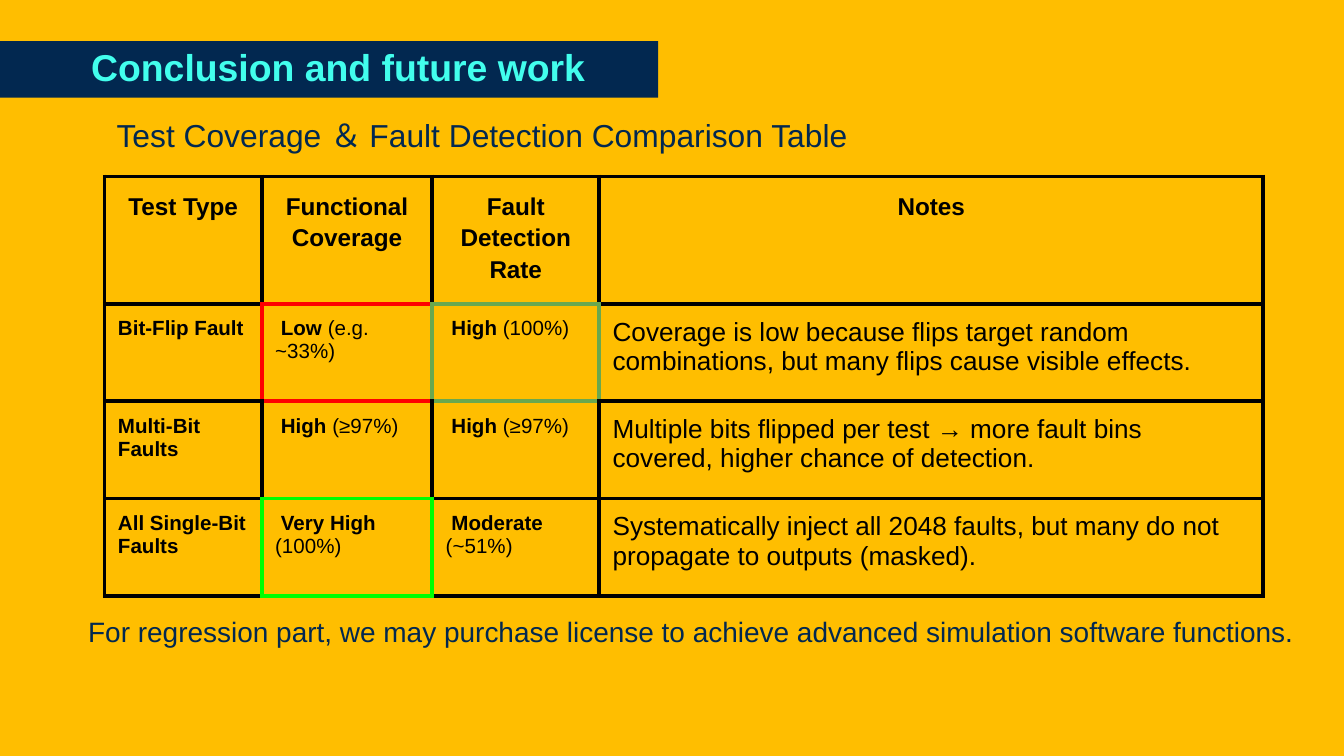
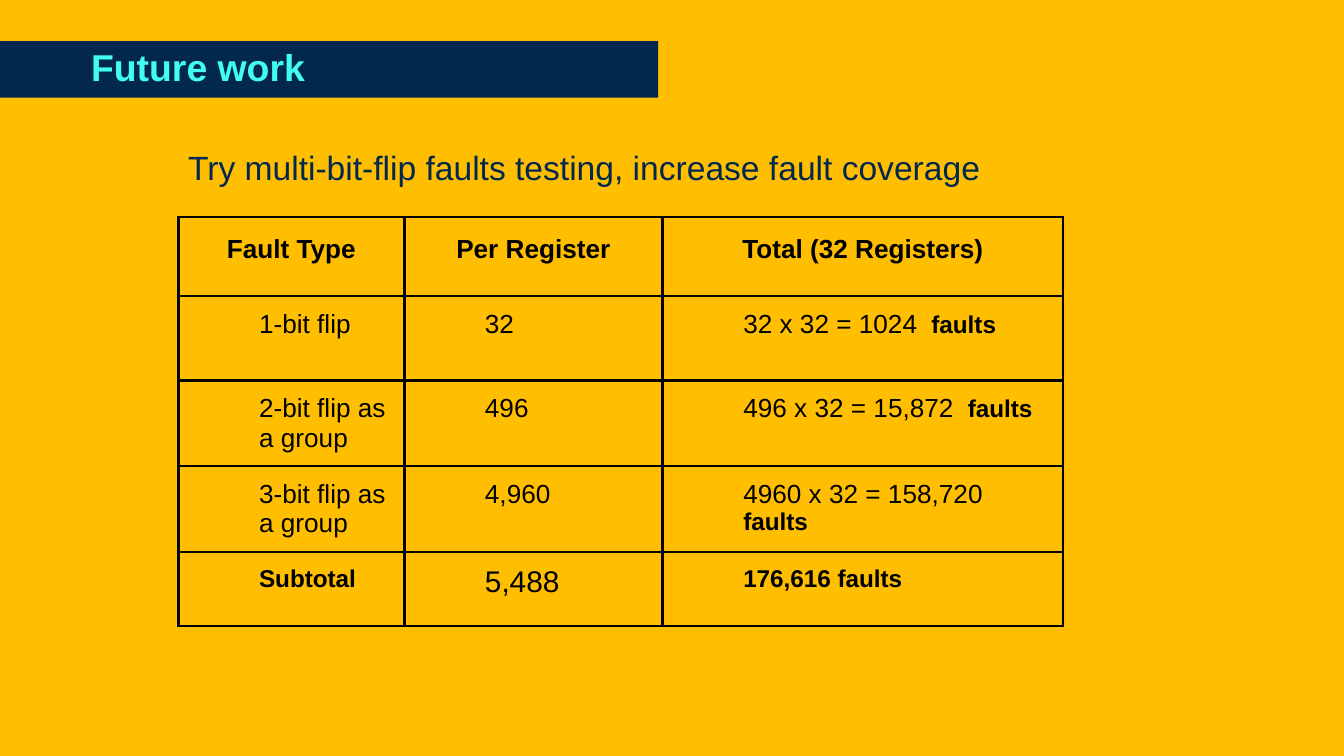
from dataclasses import dataclass, field
from typing import Any, NamedTuple

from lxml import etree
from pptx import Presentation
from pptx.dml.color import RGBColor
from pptx.enum.text import MSO_ANCHOR, MSO_AUTO_SIZE, PP_ALIGN
from pptx.oxml.ns import qn
from pptx.util import Pt

LEFT, CENTER = PP_ALIGN.LEFT, PP_ALIGN.CENTER
MIDDLE = MSO_ANCHOR.MIDDLE
GROW, FIXED = MSO_AUTO_SIZE.SHAPE_TO_FIT_TEXT, MSO_AUTO_SIZE.NONE
TITLE_ONLY = 5


@dataclass(frozen=True)
class Theme:
    font: str = "Arial"
    background: str = "FFBE00"
    navy: str = "022850"
    aqua: str = "42FEED"
    ink: str = "000000"
    low: str = "FF0000"
    detected: str = "6AA84F"
    complete: str = "00FF00"
    title_size: float = 20
    advice_size: float = 18
    subtitle_size: float = 17
    closing_size: float = 15
    total_size: float = 16
    body_size: float = 14
    strong_size: float = 13
    label_size: float = 11


THEME = Theme()


class Box(NamedTuple):
    left: float
    top: float
    width: float
    height: float


class Insets(NamedTuple):
    left: float
    top: float
    right: float
    bottom: float


class Run(NamedTuple):
    text: str
    size: float
    bold: bool = False


Cell = tuple[Run, ...]
Position = tuple[int, int]

TITLE_BOX = Box(0, 22, 352.6, 30.4)
TITLE_INSETS = Insets(48.8, 2.9, 10.8, 2.9)
EVEN_INSETS = Insets(7.2, 7.2, 7.2, 7.2)
ADVICE_INSETS = Insets(5, 2.9, 5, 2.9)


@dataclass(frozen=True)
class Caption:
    text: str
    box: Box
    size: float
    insets: Insets = EVEN_INSETS
    auto_size: Any = GROW
    paragraph: dict[str, Any] = field(default_factory=dict)


@dataclass(frozen=True)
class Grid:
    left: float
    top: float
    columns: tuple[float, ...]
    rows: tuple[float, ...]
    header: tuple[str, ...]
    header_size: float
    body: tuple[tuple[Cell, ...], ...]
    border: float
    indent: float = 0
    frames: dict[Position, str] = field(default_factory=dict)


# Formatting helpers
def apply(target: Any, formats: dict[str, Any]) -> None:
    for name, value in formats.items():
        setattr(target, name, value)


def set_insets(target: Any, insets: Insets) -> None:
    apply(target, {f"margin_{side}": Pt(size) for side, size in insets._asdict().items()})


def add_run(paragraph: Any, run: Run, color: str) -> None:
    part = paragraph.add_run()
    part.text = run.text
    apply(part.font, {"name": THEME.font, "size": Pt(run.size), "bold": run.bold})
    part.font.color.rgb = RGBColor.from_string(color)


# Text outside the tables
def set_title(slide: Any, text: str) -> None:
    title = slide.shapes.title
    apply(title, {name: Pt(size) for name, size in TITLE_BOX._asdict().items()})
    title.fill.solid()
    title.fill.fore_color.rgb = RGBColor.from_string(THEME.navy)
    frame = title.text_frame
    apply(frame, {"word_wrap": True, "auto_size": FIXED, "vertical_anchor": MIDDLE})
    set_insets(frame, TITLE_INSETS)
    heading = frame.paragraphs[0]
    apply(heading, {"alignment": LEFT, "line_spacing": 0.9, "space_before": Pt(0)})
    add_run(heading, Run(text, THEME.title_size, True), THEME.aqua)


def add_caption(slide: Any, caption: Caption) -> None:
    frame = slide.shapes.add_textbox(*map(Pt, caption.box)).text_frame
    apply(frame, {"word_wrap": True, "auto_size": caption.auto_size})
    set_insets(frame, caption.insets)
    line = frame.paragraphs[0]
    apply(line, caption.paragraph)
    add_run(line, Run(caption.text, caption.size), THEME.navy)


# Tables
def edge_colors(frames: dict[Position, str]) -> dict[tuple[int, int, str], str]:
    """Colour each framed cell's sides and the facing sides of its neighbours."""
    edges = {}
    for (row, column), color in frames.items():
        for side, facing, down, across in (
            ("L", "R", 0, -1), ("R", "L", 0, 1), ("T", "B", -1, 0), ("B", "T", 1, 0),
        ):
            edges[row, column, side] = color
            edges[row + down, column + across, facing] = color
    return edges


def add_border(cell: Any, side: str, width: float, color: str) -> None:
    properties = cell._tc.get_or_add_tcPr()
    line = etree.SubElement(properties, qn(f"a:ln{side}"), w=str(Pt(width)))
    fill = etree.SubElement(line, qn("a:solidFill"))
    etree.SubElement(fill, qn("a:srgbClr"), val=color)


def add_grid(slide: Any, grid: Grid) -> None:
    header = tuple((Run(text, grid.header_size, True),) for text in grid.header)
    table = slide.shapes.add_table(
        len(grid.rows), len(grid.columns), Pt(grid.left), Pt(grid.top),
        Pt(sum(grid.columns)), Pt(sum(grid.rows)),
    ).table
    apply(table, {"first_row": False, "horz_banding": False})
    for column, width in zip(table.columns, grid.columns):
        column.width = Pt(width)
    for row, height in zip(table.rows, grid.rows):
        row.height = Pt(height)

    edges = edge_colors(grid.frames)
    for r, row_cells in enumerate((header, *grid.body)):
        for c, runs in enumerate(row_cells):
            cell = table.cell(r, c)
            set_insets(cell, EVEN_INSETS)
            for side in "LRTB":
                add_border(cell, side, grid.border, edges.get((r, c, side), THEME.ink))
            cell.fill.background()
            paragraph = cell.text_frame.paragraphs[0]
            if r == 0:
                apply(paragraph, {"alignment": CENTER, "line_spacing": 1.15})
            elif grid.indent:
                properties = paragraph._p.get_or_add_pPr()
                properties.set("marL", str(Pt(grid.indent)))
                properties.set("indent", "0")
            for run in runs:
                add_run(paragraph, run, THEME.ink)
            # The paragraph mark takes the size of the last run
            etree.SubElement(paragraph._p, qn("a:endParaRPr"), sz=str(runs[-1].size * 100))


# Row patterns
def coverage_row(name: str, coverage: tuple[str, str], detection: tuple[str, str],
                 note: str) -> tuple[Cell, ...]:
    def rating(level: str, detail: str) -> Cell:
        size = THEME.label_size
        return Run(" ", size), Run(level, size, True), Run(f" {detail}", size)

    return ((Run(name, THEME.label_size, True),), rating(*coverage),
            rating(*detection), (Run(note, THEME.body_size),))


def fault_row(name: str, per_register: str, total: str) -> tuple[Cell, ...]:
    size = THEME.body_size
    return ((Run(name, size),), (Run(per_register, size),),
            (Run(f"{total} ", size), Run(" faults", THEME.strong_size, True)))


# Content
COVERAGE = Grid(
    left=56, top=94.5,
    columns=(84.2, 91.4, 89.4, 355.7), rows=(44, 52.2, 52.2, 52.2),
    header=("Test Type", "Functional Coverage", "Fault Detection Rate", "Notes"),
    header_size=THEME.strong_size,
    body=(
        coverage_row("Bit-Flip Fault", ("Low", "(e.g. ~33%)"), ("High", "(100%)"),
                     "Coverage is low because flips target random combinations, "
                     "but many flips cause visible effects."),
        coverage_row("Multi-Bit Faults", ("High", "(≥97%)"), ("High", "(≥97%)"),
                     "Multiple bits flipped per test → more fault bins covered, "
                     "higher chance of detection."),
        coverage_row("All Single-Bit Faults", ("Very High", "(100%)"), ("Moderate", "(~51%)"),
                     "Systematically inject all 2048 faults, but many do not "
                     "propagate to outputs (masked)."),
    ),
    border=2.25,
    frames={(1, 1): THEME.low, (1, 2): THEME.detected, (3, 1): THEME.complete},
)
FAULT_COUNTS = Grid(
    left=95.6, top=116.4,
    columns=(121, 138.4, 214.6), rows=(42.3, 45.2, 45.4, 45.4, 39.6),
    header=("Fault Type", "Per Register", "Total (32 Registers)"),
    header_size=THEME.body_size,
    body=(
        fault_row("1-bit flip", "32", "32 x 32 = 1024"),
        fault_row("2-bit flip as a group", "496", "496 x 32 = 15,872"),
        fault_row("3-bit flip as a group", "4,960", "4960 x 32 = 158,720"),
        ((Run("Subtotal", THEME.strong_size, True),),
         (Run("5,488", THEME.total_size),),
         (Run("176,616 faults", THEME.strong_size, True),)),
    ),
    border=1.5, indent=36,
)
CLOSING = Caption(
    " For regression part, we may purchase license to achieve advanced "
    "simulation software functions.",
    Box(36, 321.8, 674.6, 32.4), THEME.closing_size,
)
SUBTITLE = Caption(
    "Test Coverage ＆ Fault Detection Comparison Table",
    Box(55.4, 54.7, 622, 35.3), THEME.subtitle_size,
)
ADVICE = Caption(
    "Try multi-bit-flip faults testing, increase fault coverage",
    Box(95.8, 71.3, 583.2, 262), THEME.advice_size, ADVICE_INSETS, FIXED,
    {"line_spacing": 1.2, "space_before": Pt(8)},
)
SLIDES = (
    ("Conclusion and future work", (CLOSING, SUBTITLE), COVERAGE),
    ("Future work", (ADVICE,), FAULT_COUNTS),
)


def main() -> None:
    deck = Presentation()
    apply(deck, {"slide_width": Pt(720), "slide_height": Pt(405)})
    backdrop = deck.slide_master.background.fill
    backdrop.solid()
    backdrop.fore_color.rgb = RGBColor.from_string(THEME.background)

    for title, captions, grid in SLIDES:
        slide = deck.slides.add_slide(deck.slide_layouts[TITLE_ONLY])
        set_title(slide, title)
        for caption in captions:
            add_caption(slide, caption)
        add_grid(slide, grid)
    deck.save("out.pptx")


if __name__ == "__main__":
    main()
